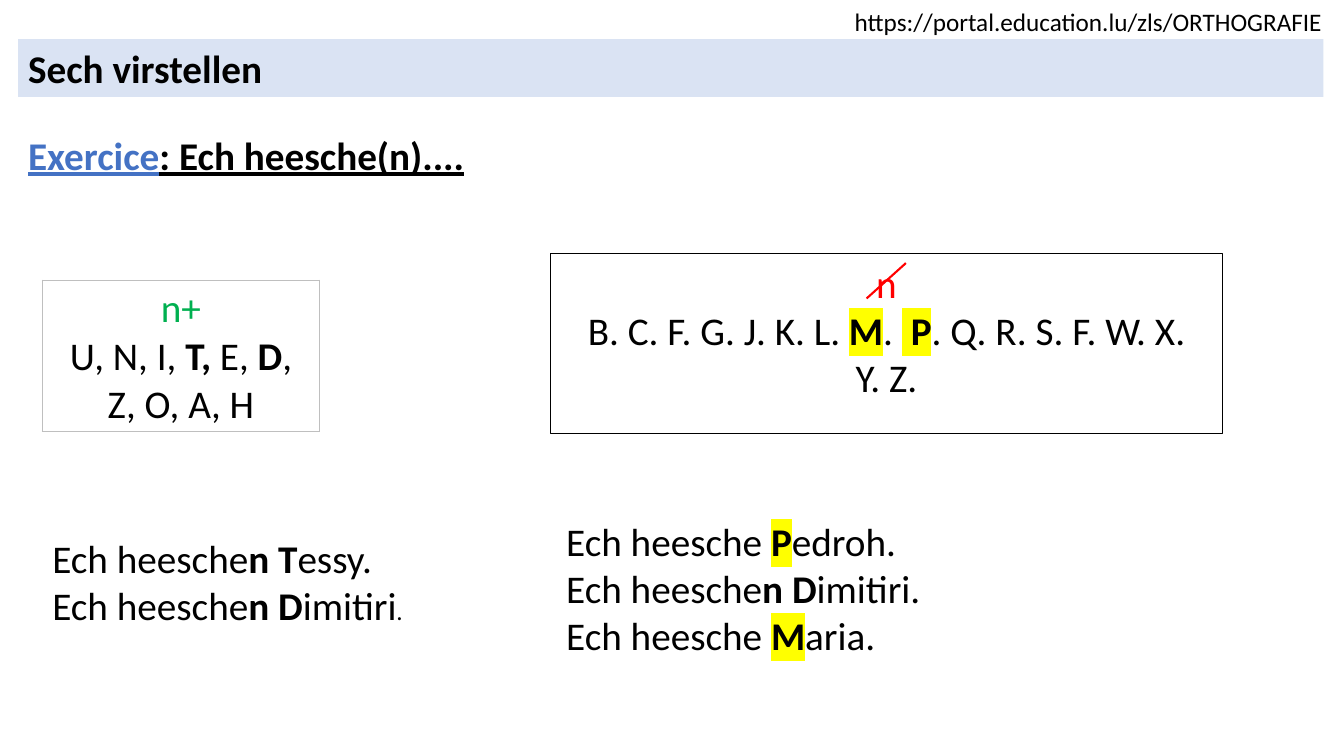
from dataclasses import dataclass

from lxml import etree
from pptx import Presentation
from pptx.dml.color import RGBColor
from pptx.enum.shapes import MSO_CONNECTOR, MSO_SHAPE
from pptx.enum.text import MSO_ANCHOR, PP_ALIGN
from pptx.oxml.ns import qn
from pptx.util import Cm, Pt

RECTANGLE = MSO_SHAPE.RECTANGLE
STRAIGHT = MSO_CONNECTOR.STRAIGHT
LEFT, CENTER = PP_ALIGN.LEFT, PP_ALIGN.CENTER
TOP, MIDDLE = MSO_ANCHOR.TOP, MSO_ANCHOR.MIDDLE


@dataclass(frozen=True)
class Theme:
    """Fonts, type sizes and colours of the lesson."""

    font: str = "Calibri"
    body: int = 28
    small: int = 18
    ink: str = "000000"
    accent: str = "4472C4"
    band: str = "DAE3F3"
    keep: str = "00B050"
    drop: str = "FF0000"
    marker: str = "FFFF00"
    cell_border: str = "BFBFBF"


@dataclass(frozen=True)
class Run:
    """A stretch of text with its own emphasis."""

    text: str
    bold: bool = False
    marked: bool = False
    color: str = ""
    size: int = 0


@dataclass(frozen=True)
class Line:
    """A paragraph made of runs that share a font."""

    runs: tuple
    color: str
    size: int
    bold: bool = False
    underline: bool = False


class LessonSlide:
    """Draws the elements of one slide in one theme."""

    def __init__(self, slide, theme):
        """Keep the slide and its theme."""
        self.slide = slide
        self.theme = theme

    def line(self, *runs, color="", size=0, bold=False, underline=False):
        """Return a paragraph, treating plain strings as plain runs."""
        runs = tuple(Run(run) if isinstance(run, str) else run for run in runs)
        return Line(runs, color or self.theme.ink, size or self.theme.body, bold, underline)

    def fill_frame(self, frame, lines, align=LEFT):
        """Fill a text frame with paragraphs."""
        frame.word_wrap = True
        for index, line in enumerate(lines):
            paragraph = frame.add_paragraph() if index else frame.paragraphs[0]
            paragraph.alignment = align
            font = paragraph.font
            font.name = self.theme.font
            font.size = Pt(line.size)
            font.bold = line.bold
            font.underline = line.underline
            font.color.rgb = RGBColor.from_string(line.color)
            for run in line.runs:
                self.fill_run(paragraph.add_run(), run)

    def fill_run(self, target, run):
        """Set the text of a run and what differs from its paragraph."""
        target.text = run.text
        if run.bold:
            target.font.bold = True
        if run.size:
            target.font.size = Pt(run.size)
        if run.color:
            target.font.color.rgb = RGBColor.from_string(run.color)
        if run.marked:
            properties = target.font._element
            highlight = etree.SubElement(properties, qn("a:highlight"))
            etree.SubElement(highlight, qn("a:srgbClr"), val=self.theme.marker)

    def text(self, left, top, width, height, *lines):
        """Add a text box."""
        box = self.slide.shapes.add_textbox(Cm(left), Cm(top), Cm(width), Cm(height))
        self.fill_frame(box.text_frame, lines)

    def panel(self, left, top, width, height, *lines, fill="", border="", align=LEFT):
        """Add a rectangle with text."""
        shape = self.slide.shapes.add_shape(RECTANGLE, Cm(left), Cm(top), Cm(width), Cm(height))
        shape.shadow.inherit = False
        if fill:
            shape.fill.solid()
            shape.fill.fore_color.rgb = RGBColor.from_string(fill)
        else:
            shape.fill.background()
        if border:
            shape.line.color.rgb = RGBColor.from_string(border)
            shape.line.width = Pt(0.75)
        else:
            shape.line.fill.background()
        shape.text_frame.vertical_anchor = TOP
        self.fill_frame(shape.text_frame, lines, align)

    def cell_table(self, left, top, width, height, *lines):
        """Add a bordered table of one cell."""
        frame = self.slide.shapes.add_table(1, 1, Cm(left), Cm(top), Cm(width), Cm(height))
        table = frame.table
        table.first_row = False
        table.horz_banding = False
        cell = table.cell(0, 0)
        cell.vertical_anchor = MIDDLE
        properties = cell._tc.get_or_add_tcPr()
        for side in ("a:lnL", "a:lnR", "a:lnT", "a:lnB"):
            border = etree.SubElement(properties, qn(side), w=str(Pt(1)))
            fill = etree.SubElement(border, qn("a:solidFill"))
            etree.SubElement(fill, qn("a:srgbClr"), val=self.theme.cell_border)
        cell.fill.background()
        self.fill_frame(cell.text_frame, lines, CENTER)

    def stroke(self, start_x, start_y, end_x, end_y, color):
        """Add a straight line."""
        connector = self.slide.shapes.add_connector(
            STRAIGHT, Cm(start_x), Cm(start_y), Cm(end_x), Cm(end_y)
        )
        connector.line.color.rgb = RGBColor.from_string(color)
        connector.line.width = Pt(1.5)
        etree.SubElement(connector._element.spPr, qn("a:effectLst"))


def main():
    """Build and save the lesson slide."""
    presentation = Presentation()
    presentation.slide_width, presentation.slide_height = Cm(33.87), Cm(19.05)
    theme = Theme()
    lesson = LessonSlide(presentation.slides.add_slide(presentation.slide_layouts[6]), theme)
    line = lesson.line
    dimitiri = ("Ech heesche", Run("n D", bold=True), "imitiri")

    lesson.text(
        0.46, 3.18, 31.47, 1.45,
        line(Run("Exercice", color=theme.accent), ": Ech heesche(n)....", bold=True, underline=True),
    )
    lesson.panel(0.46, 0.99, 32.89, 1.45, line("Sech virstellen", bold=True), fill=theme.band)
    lesson.cell_table(
        1.07, 7.06, 6.98, 3.81,
        line("n+", color=theme.keep),
        line("U, N, I, ", Run("T,", bold=True), " E, ", Run("D", bold=True), ", Z, O, A, H"),
    )
    lesson.panel(
        13.87, 6.4, 16.94, 4.52,
        line("n", color=theme.drop),
        line(
            "B. C. F. G. J. K. L. ", Run("M", bold=True, marked=True), ". ", Run(" ", marked=True),
            Run("P", bold=True, marked=True), ". Q. R. S. F. W. X.",
        ),
        line("Y. Z."),
        border=theme.ink, align=CENTER,
    )
    lesson.stroke(21.84, 7.52, 22.83, 6.63, theme.drop)
    lesson.text(
        14.02, 12.9, 13.18, 4.62,
        line("Ech heesche ", Run("P", bold=True, marked=True), "edroh."),
        line(*dimitiri, "."),
        line("Ech heesche ", Run("M", bold=True, marked=True), "aria."),
    )
    lesson.text(
        1.07, 13.34, 12.5, 2.64,
        line("Ech heesche", Run("n T", bold=True), "essy."),
        line(*dimitiri, Run(".", size=theme.small)),
    )
    lesson.text(
        21.29, 0.03, 12.57, 1.02,
        line("https://portal.education.lu/zls/ORTHOGRAFIE", size=theme.small),
    )
    presentation.save("out.pptx")


if __name__ == "__main__":
    main()
